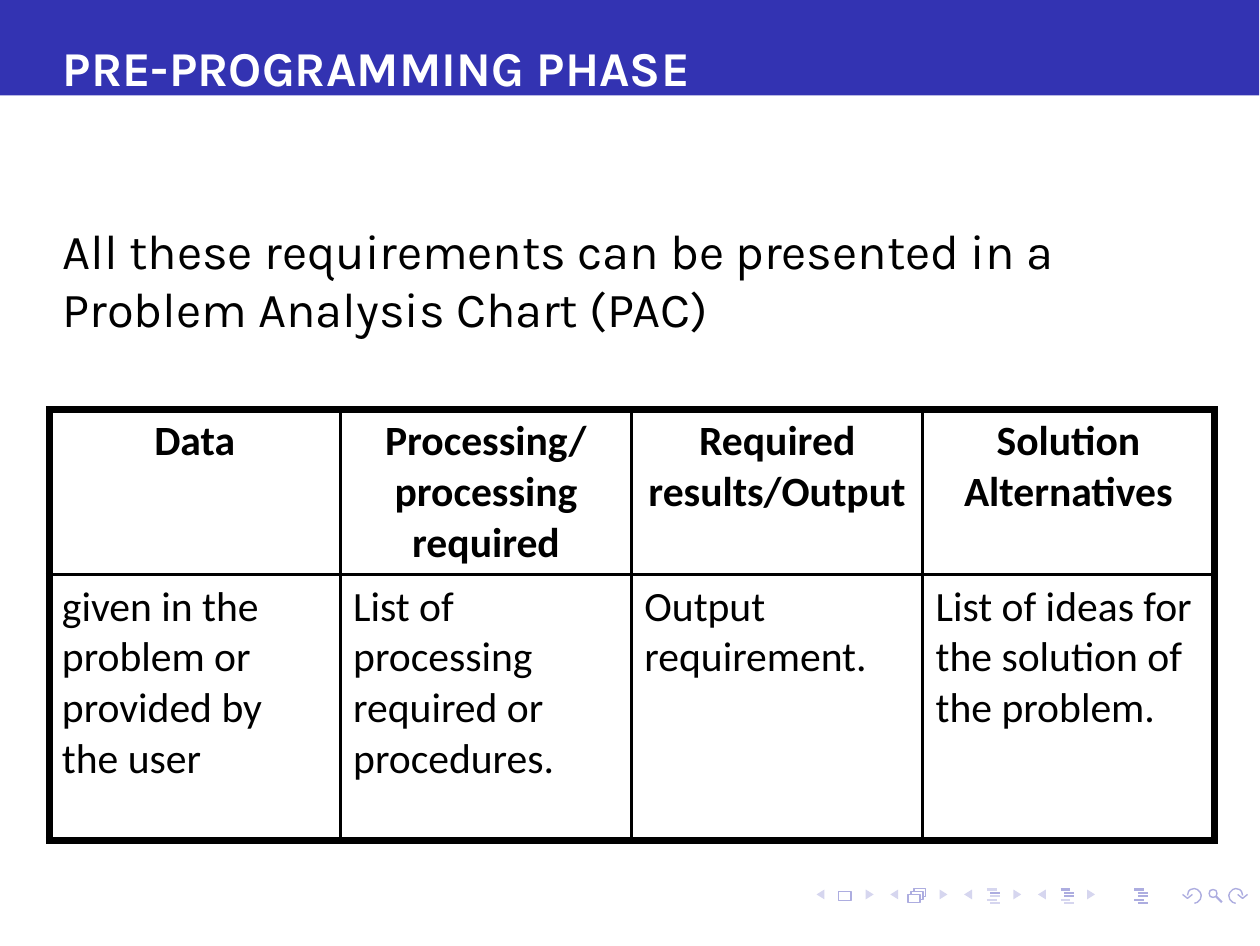
from lxml import etree
from pptx import Presentation
from pptx.dml.color import RGBColor
from pptx.enum.shapes import MSO_SHAPE
from pptx.enum.text import MSO_ANCHOR, PP_ALIGN
from pptx.oxml.ns import qn
from pptx.util import Cm, Pt

BLUE = RGBColor(0x33, 0x33, 0xB2)
NAV_DARK = RGBColor(0xAD, 0xAD, 0xE0)
NAV_LIGHT = RGBColor(0xD6, 0xD6, 0xEF)
BLACK = RGBColor(0, 0, 0)
WHITE = RGBColor(255, 255, 255)
LEFT, CENTER = PP_ALIGN.LEFT, PP_ALIGN.CENTER
TOP = MSO_ANCHOR.TOP
RECTANGLE = MSO_SHAPE.RECTANGLE

TITLE_FONT = dict(name="Karla", size=Pt(14), bold=True)
BODY_FONT = dict(name="Karla", size=Pt(14.1), bold=False)
HEAD_FONT = dict(name="Calibri", size=Pt(12), bold=True)
CELL_FONT = dict(name="Calibri", size=Pt(12), bold=False)

PAC_ROWS = [
    ["Data", "Processing/ processing required", "Required results/Output",
     "Solution Alternatives"],
    ["given in the problem or provided by the user",
     "List of processing required or procedures.",
     "Output requirement.",
     "List of ideas for the solution of\nthe problem."],
]
ROW_HEIGHTS = [1.68, 2.7]


def set_text(tf, text, font, color, align=LEFT):
    p = tf.paragraphs[0]
    p.alignment = align
    for k, line in enumerate(text.split("\n")):
        if k:
            p.add_line_break()
        r = p.add_run()
        r.text = line
        for key, value in font.items():
            setattr(r.font, key, value)
        r.font.color.rgb = color


def set_frame(tf):
    for side in ("left", "top", "right", "bottom"):
        setattr(tf, "margin_" + side, 0)
    tf.word_wrap = True
    tf.vertical_anchor = TOP


def add_header(s, width, height):
    band = s.shapes.add_shape(RECTANGLE, 0, 0, Cm(width), Cm(height))
    band.shadow.inherit = False
    band.fill.solid()
    band.fill.fore_color.rgb = BLUE
    band.line.fill.background()
    title = s.shapes.title
    box = dict(left=Cm(0.64), top=Cm(0.38), width=Cm(11.53), height=Cm(0.61))
    for key, value in box.items():
        setattr(title, key, value)
    set_frame(title.text_frame)
    set_text(title.text_frame, "PRE-PROGRAMMING PHASE", TITLE_FONT, WHITE)
    # Bring the title in front of its band
    band._element.addnext(title._element)


def add_body(s, x, y, w, h):
    tf = s.shapes.add_textbox(Cm(x), Cm(y), Cm(w), Cm(h)).text_frame
    set_frame(tf)
    set_text(tf, "All these requirements can be presented in a "
             "Problem Analysis Chart (PAC)", BODY_FONT, BLACK)


def set_border(cell, side, width):
    ln = etree.SubElement(cell._tc.get_or_add_tcPr(), qn("a:" + side),
                          w=str(Pt(width)))
    fill = etree.SubElement(ln, qn("a:solidFill"))
    etree.SubElement(fill, qn("a:srgbClr"), val=str(BLACK))


def add_pac_table(s, x, y, w):
    n_rows, n_cols = len(PAC_ROWS), len(PAC_ROWS[0])
    table = s.shapes.add_table(n_rows, n_cols, Cm(x), Cm(y), Cm(w),
                               Cm(sum(ROW_HEIGHTS))).table
    table.first_row = table.horz_banding = False
    for column in table.columns:
        column.width = Cm(w / n_cols)
    for i, texts in enumerate(PAC_ROWS):
        table.rows[i].height = Cm(ROW_HEIGHTS[i])
        for j, text in enumerate(texts):
            cell = table.cell(i, j)
            cell.margin_left = cell.margin_right = Cm(0.13)
            cell.margin_top = cell.margin_bottom = Cm(0.07)
            cell.vertical_anchor = TOP
            outer = dict(lnL=j == 0, lnR=j == n_cols - 1,
                         lnT=i == 0, lnB=i == n_rows - 1)
            for side, is_outer in outer.items():
                set_border(cell, side, 2.25 if is_outer else 1)
            cell.fill.background()
            if i == 0:
                set_text(cell.text_frame, text, HEAD_FONT, BLACK, CENTER)
            else:
                set_text(cell.text_frame, text, CELL_FONT, BLACK)


def draw(s, x, y, paths, color, weight=None, closed=False):
    """Draw paths given in hundredths of a centimetre from (x, y) in cm.

    Without a weight the outline is filled instead of stroked."""
    points = [[(x * 1000 + px * 10, y * 1000 + py * 10) for px, py in path]
              for path in paths]
    fb = s.shapes.build_freeform(*points[0][0], scale=Cm(0.001))
    for k, path in enumerate(points):
        if k:
            fb.move_to(*path[0])
        fb.add_line_segments(path[1:], close=closed)
    sp = fb.convert_to_shape()
    sp.shadow.inherit = False
    if weight:
        sp.fill.background()
        sp.line.color.rgb = color
        sp.line.width = Pt(weight)
    else:
        sp.fill.solid()
        sp.fill.fore_color.rgb = color
        sp.line.fill.background()


def add_lines_icon(s, x, y, dark_rows):
    rows = [[(indent, k * 3.5), (indent + 10, k * 3.5)]
            for k, indent in enumerate([0, 3.5, 3.5, 0, 3.5])]
    for color, is_dark in ((NAV_DARK, True), (NAV_LIGHT, False)):
        paths = [row for k, row in enumerate(rows)
                 if (k in dark_rows) == is_dark]
        if paths:
            draw(s, x, y, paths, color, 0.6)


def add_navigation(s, x, y):
    step = 0.75
    # Pairs of arrows
    for k in range(4):
        draw(s, x + k * step, y, [[(8, 0), (0, 5), (8, 10)],
                                  [(50, 0), (50, 10), (58, 5)]],
             NAV_LIGHT, closed=True)
    # Slide, stacked frames, lists
    draw(s, x + 0.22, y + 0.02, [[(0, 0), (13, 0), (13, 9), (0, 9)]],
         NAV_DARK, 0.4, True)
    draw(s, x + 0.93, y - 0.01,
         [[(0, 14), (12, 14), (12, 6), (0, 6), (0, 14)],
          [(3, 6), (3, 3), (15, 3), (15, 11), (12, 11)],
          [(6, 3), (6, 0), (18, 0), (18, 8), (15, 8)]], NAV_DARK, 0.4)
    for k, dark_rows in enumerate([{1}, {0, 1, 2}, {0, 1, 2, 3, 4}], start=2):
        add_lines_icon(s, x + 0.23 + k * step, y, dark_rows)
    # Back and forward turns, mirrored about the lens
    turn = [(12, 14), (15, 13), (18, 10), (19, 6), (18, 3), (15, 0),
            (12, -1), (8, 0), (6, 2), (5, 6)]
    tip = [(10, 5), (5, 9), (0, 5)]
    mirrored = [[(66 - px, py) for px, py in path] for path in (turn, tip)]
    draw(s, x + 3.72, y, [turn, tip] + mirrored, NAV_DARK, 0.4)
    # Lens
    draw(s, x + 3.99, y, [[(8, 4), (7, 1), (4, 0), (1, 1), (0, 4), (1, 7),
                           (4, 8), (7, 7)]], NAV_DARK, 0.4, True)
    draw(s, x + 3.99, y, [[(7, 7), (13, 13)]], NAV_DARK, 0.6)


def main():
    prs = Presentation()
    prs.slide_width, prs.slide_height = Pt(363), Pt(272.5)
    s = prs.slides.add_slide(prs.slide_layouts[5])
    add_navigation(s, 8.3, 9.04)
    add_header(s, 12.8, 0.97)
    add_body(s, 0.64, 2.24, 11, 3.02)
    add_pac_table(s, 0.5, 4.16, 11.84)
    prs.save("out.pptx")


if __name__ == "__main__":
    main()
